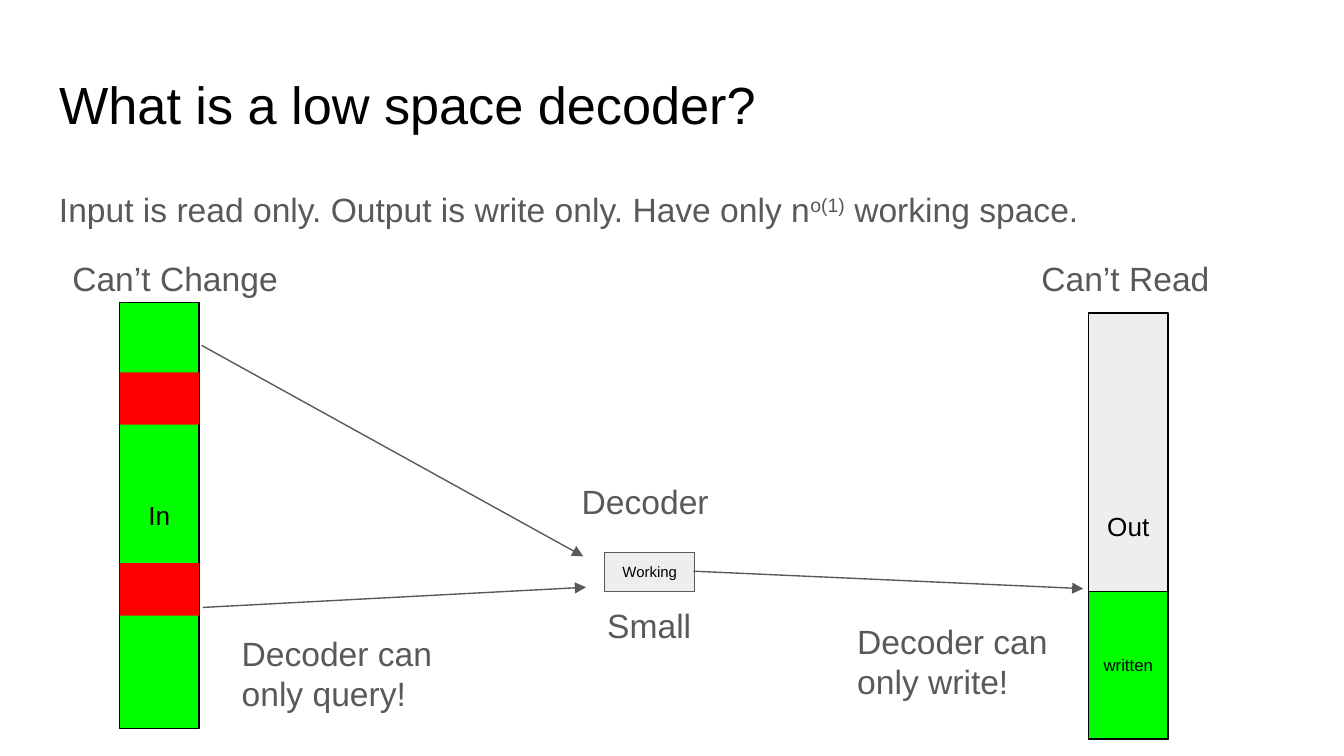
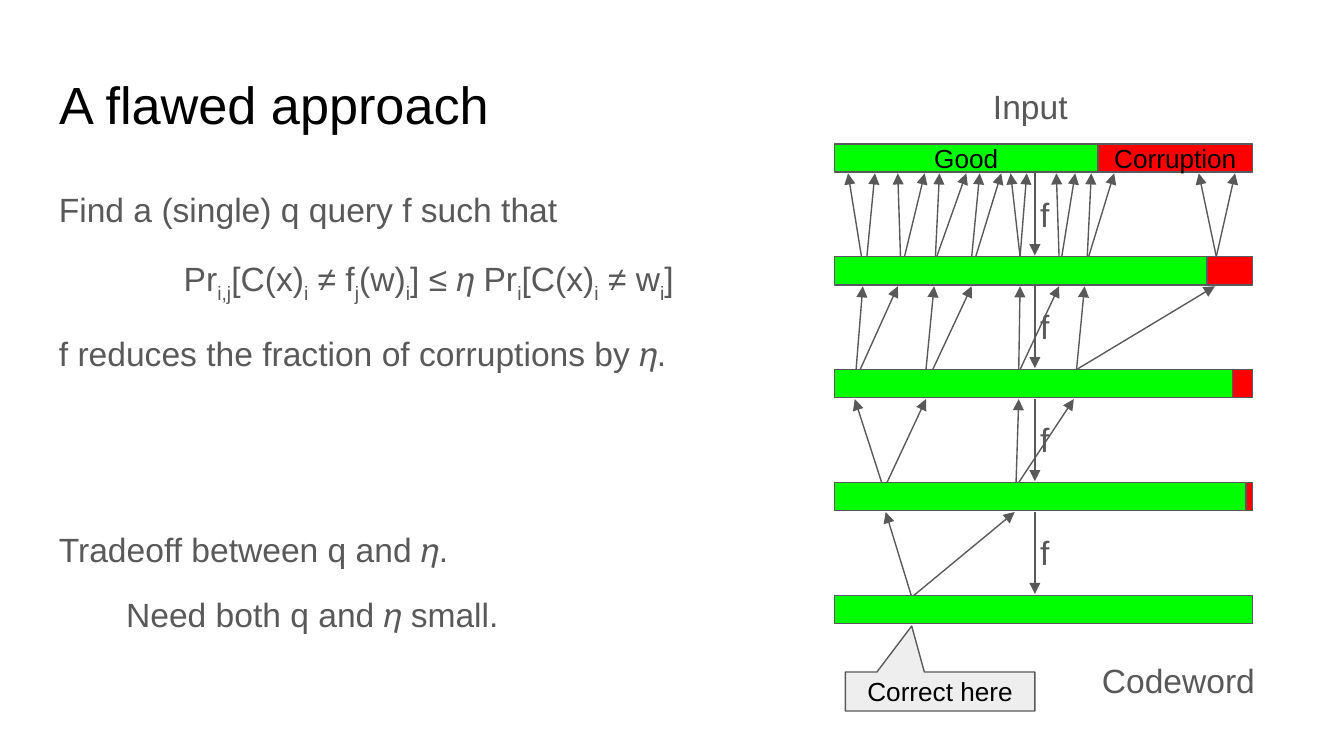
"""Build two slides on low space decoders."""
from pptx import Presentation
from pptx.dml.color import RGBColor
from pptx.enum import shapes, text
from pptx.oxml import ns, xmlchemy
from pptx.util import Inches, Pt

HUES = {"ink": "000000", "gray": "595959", "pale": "EEEEEE",
        "good": "00FF00", "bad": "FF0000"}
FONT = "Arial"
LEFT, TOP = 0.34, 1.26

RULE = "Input is read only. Output is write only. Have only n|o(1)| working space."
LABELS = [
    ("Can’t Change", (0.44, 1.82, 4.27, 0.5)),
    ("Decoder", (4.23, 3.48, 1.19, 0.5)),
    ("Decoder can only query!", (1.7, 4.61, 1.64, 0.8)),
    ("Can’t Read", (7.65, 1.82, 1.48, 0.5)),
    ("Decoder can only write!", (6.28, 4.52, 1.64, 0.8)),
    ("Small", (4.42, 4.4, 0.84, 0.5)),
]
BLOCKS = [
    ((0.89, 2.25, 0.59, 3.17), "good", "ink", "In", 14),
    ((0.89, 2.77, 0.59, 0.39), "bad", None, "", 14),
    ((0.89, 4.19, 0.59, 0.39), "bad", None, "", 14),
    ((4.5, 4.11, 0.67, 0.29), "pale", "gray", "Working", 8),
    ((8.1, 2.33, 0.59, 3.17), "pale", "ink", "Out", 14),
    ((8.1, 4.4, 0.59, 1.1), "good", "ink", "written", 9),
]
FLOWS = [((1.5, 2.57), (4.34, 4.14)), ((1.51, 4.52), (4.36, 4.37)),
         ((5.16, 4.25), (8.06, 4.38))]

CLAIM = [
    ("Find a (single) q query f such that", {}),
    ("Pr|i,j|[C(x)|i| ≠ f|j|(w)|i|] ≤ 𝜂 Pr|i|[C(x)|i| ≠ w|i|]",
     {"before": 12, "center": True}),
    ("f reduces the fraction of corruptions by 𝜂.", {"before": 12, "after": 12}),
]
COST = [
    ("Tradeoff between q and 𝜂.", {}),
    ("Need both q and 𝜂 small.", {"before": 10, "after": 10, "indent": 0.5}),
]
BAR = {"left": 6.21, "top": 1.07, "wide": 3.11, "high": 0.21, "step": 0.84}
BAD = [1.15, 0.34, 0.15, 0.05, 0]
NAMES = [("Good", "Corruption")] + [("", "")] * 4
QUERIES = [
    [(6.41, 6.31), (6.45, 6.51), (6.7, 6.68), (6.73, 6.88), (6.96, 6.99),
     (6.97, 7.19), (7.23, 7.29), (7.26, 7.45), (7.59, 7.52), (7.59, 7.64),
     (7.88, 7.86), (7.9, 8), (8.09, 8.12), (8.1, 8.29), (9.05, 8.92),
     (9.05, 9.19)],
    [(6.37, 6.42), (6.4, 6.68), (6.89, 6.95), (6.94, 7.23), (7.58, 7.59),
     (7.59, 7.88), (8.01, 8.07), (8.01, 9.04)],
    [(6.56, 6.36), (6.6, 6.89), (7.56, 7.58), (7.58, 7.99)],
    [(6.78, 6.59), (6.8, 7.55)],
]


def hue(name):
    return RGBColor.from_string(HUES[name])


def style(par, size, color):
    for run in par.runs:
        font = run.font
        font.name, font.size = FONT, Pt(size)
        font.color.rgb = hue(color)


def pad(frame):
    frame.word_wrap = True
    frame.margin_left = frame.margin_right = Inches(0.1)
    frame.margin_top = frame.margin_bottom = Inches(0.1)


def start(deck, words, wide):
    slide = deck.slides.add_slide(deck.slide_layouts[5])
    title = slide.shapes.title
    title.left, title.top = Inches(LEFT), Inches(0.49)
    title.width, title.height = Inches(wide), Inches(0.63)
    frame = title.text_frame
    frame.text = words
    pad(frame)
    frame.auto_size = text.MSO_AUTO_SIZE.NONE
    frame.vertical_anchor = text.MSO_ANCHOR.TOP
    par = frame.paragraphs[0]
    par.alignment, par.line_spacing = text.PP_ALIGN.LEFT, 0.9
    style(par, 28, "ink")
    return slide


def write(slide, box, lines, lead=1.15, shift=-25000):
    """Add paragraphs whose odd parts between bars are raised or lowered."""
    frame = slide.shapes.add_textbox(*map(Inches, box)).text_frame
    pad(frame)
    for i, (words, opts) in enumerate(lines):
        par = frame.add_paragraph() if i else frame.paragraphs[0]
        par.line_spacing = lead
        par.space_before = Pt(opts.get("before", 0))
        par.space_after = Pt(opts.get("after", 0))
        if opts.get("center"):
            par.alignment = text.PP_ALIGN.CENTER
        if "indent" in opts:
            props = par._p.get_or_add_pPr()
            props.set("marL", str(Inches(opts["indent"])))
            props.set("indent", "0")
        for j, part in enumerate(words.split("|")):
            if part:
                run = par.add_run()
                run.text = part
                if j % 2:
                    run._r.get_or_add_rPr().set("baseline", str(shift))
        style(par, 18, "gray")


def label(slide, words, box):
    write(slide, box, [(words, {})], lead=1)


def block(slide, box, fill, edge, words="", size=14,
          kind=shapes.MSO_SHAPE.RECTANGLE):
    shape = slide.shapes.add_shape(kind, *map(Inches, box))
    shape.shadow.inherit = False
    shape.fill.solid()
    shape.fill.fore_color.rgb = hue(fill)
    if edge:
        shape.line.color.rgb = hue(edge)
        shape.line.width = Pt(0.75)
    else:
        shape.line.fill.background()
    if words:
        frame = shape.text_frame
        frame.text = words
        pad(frame)
        frame.vertical_anchor = text.MSO_ANCHOR.MIDDLE
        frame.paragraphs[0].alignment = text.PP_ALIGN.CENTER
        style(frame.paragraphs[0], size, "ink")
    return shape


def arrow(slide, tail, tip):
    link = slide.shapes.add_connector(
        shapes.MSO_CONNECTOR.STRAIGHT, *map(Inches, (*tail, *tip)))
    link.line.color.rgb = hue("gray")
    link.line.width = Pt(0.75)
    props = link._element.spPr
    head = xmlchemy.OxmlElement("a:tailEnd")
    head.set("type", "triangle")
    props.find(ns.qn("a:ln")).append(head)
    props.append(xmlchemy.OxmlElement("a:effectLst"))


def space(deck):
    slide = start(deck, "What is a low space decoder?", 9.32)
    write(slide, (LEFT, TOP, 9.32, 0.56), [(RULE, {"after": 12})], shift=30000)
    for item in BLOCKS:
        block(slide, *item)
    for tail, tip in FLOWS:
        arrow(slide, tail, tip)
    for words, box in LABELS:
        label(slide, words, box)


def flawed(deck):
    slide = start(deck, "A flawed approach", 5.17)
    write(slide, (LEFT, TOP, 5.7, 1.89), CLAIM)
    left, wide, high = BAR["left"], BAR["wide"], BAR["high"]
    tops = [BAR["top"] + i * BAR["step"] for i in range(len(BAD))]
    for top, bad, (good, wrong) in zip(tops, BAD, NAMES):
        cut = wide - bad
        block(slide, (left, top, cut, high), "good", "gray", good)
        if bad:
            block(slide, (left + cut, top, bad, high), "bad", "gray", wrong)
    for top, low, pairs in zip(tops, tops[1:], QUERIES):
        base = top + high
        arrow(slide, (7.7, base + 0.01), (7.7, low - 0.01))
        label(slide, "f", (7.64, top + 0.27, 0.28, 0.5))
        for foot, tip in pairs:
            arrow(slide, (foot, low), (tip, base + 0.01))
    note = block(slide, (6.29, 5, 1.41, 0.29), "pale", "gray", "Correct here",
                 kind=shapes.MSO_SHAPE.RECTANGULAR_CALLOUT)
    note.adjustments[0], note.adjustments[1] = -0.15, -1.68
    label(slide, "Input", (7.29, 0.54, 0.83, 0.44))
    label(slide, "Codeword", (8.1, 4.81, 1.51, 0.42))
    write(slide, (LEFT, 3.79, 3.96, 1), COST)


def main():
    deck = Presentation()
    deck.slide_width = Inches(10)
    deck.slide_height = deck.slide_width * 9 // 16
    space(deck)
    flawed(deck)
    deck.save("out.pptx")


if __name__ == "__main__":
    main()
